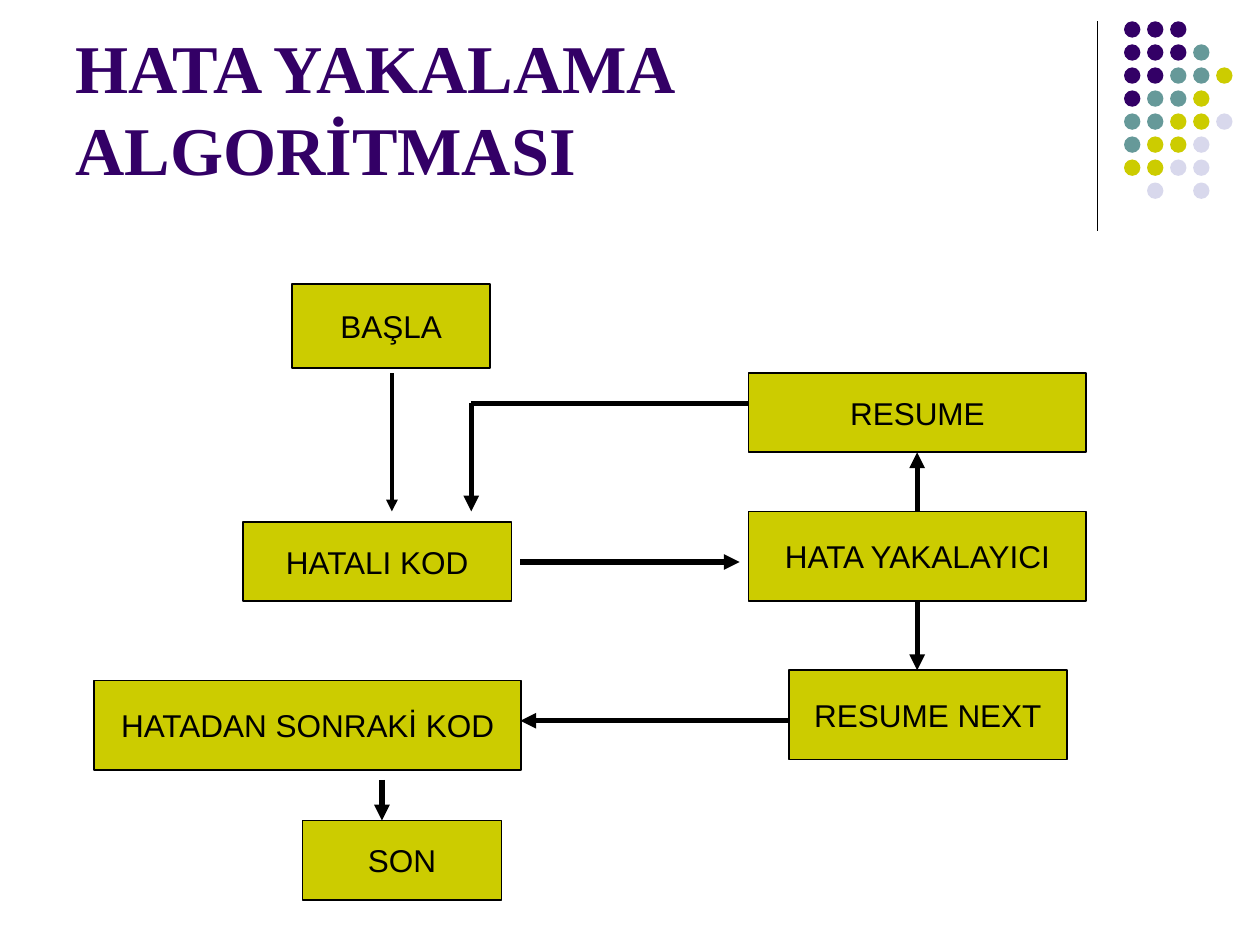
from lxml.etree import SubElement
from pptx import Presentation
from pptx.dml.color import RGBColor
from pptx.enum.shapes import MSO_CONNECTOR, MSO_SHAPE
from pptx.enum.text import MSO_ANCHOR, PP_ALIGN
from pptx.oxml.ns import qn
from pptx.util import Cm, Pt

BLACK = RGBColor(0x00, 0x00, 0x00)
PURPLE = RGBColor(0x33, 0x00, 0x66)
TEAL = RGBColor(0x66, 0x99, 0x99)
LIME = RGBColor(0xCC, 0xCC, 0x00)
PALE = RGBColor(0xD8, 0xD8, 0xEC)


def write(shape, text, font="Arial", size=18, color=BLACK, bold=False,
          align=PP_ALIGN.CENTER, anchor=MSO_ANCHOR.MIDDLE, wrap=False):
    frame = shape.text_frame
    frame.word_wrap = wrap
    frame.vertical_anchor = anchor
    para = frame.paragraphs[0]
    para.alignment = align
    run = para.add_run()
    run.text = text
    run.font.name = font
    run.font.size = Pt(size)
    run.font.bold = bold
    run.font.color.rgb = color


def draw(x1, y1, x2, y2, width=3, arrow=True):
    line = slide.shapes.add_connector(
        MSO_CONNECTOR.STRAIGHT, Cm(x1), Cm(y1), Cm(x2), Cm(y2))
    line.line.color.rgb = BLACK
    line.line.width = Pt(width)
    if arrow:
        SubElement(line.line._get_or_add_ln(), qn("a:tailEnd"), type="triangle")
    SubElement(line._element.spPr, qn("a:effectLst"))


prs = Presentation()
prs.slide_width = Cm(25.4)
prs.slide_height = Cm(19.05)
slide = prs.slides.add_slide(prs.slide_layouts[6])

# Corner rule and dot pattern
draw(22.12, 0.43, 22.12, 4.65, width=0.75, arrow=False)
tones = {"P": PURPLE, "T": TEAL, "L": LIME, "W": PALE}
rows = ["PPP", "PPPT", "PPTTL", "PTTL", "TTLLW", "TLLW", "LLWW", " W W"]
step = 3.25 / 7
for row, marks in enumerate(rows):
    for col, mark in enumerate(marks):
        if mark in tones:
            dot = slide.shapes.add_shape(
                MSO_SHAPE.OVAL, Cm(22.66 + col * step), Cm(0.43 + row * step),
                Cm(0.33), Cm(0.33))
            dot.shadow.inherit = False
            dot.fill.solid()
            dot.fill.fore_color.rgb = tones[mark]
            dot.line.fill.background()

# Title
title = slide.shapes.add_textbox(Cm(1.27), Cm(0.33), Cm(20.96), Cm(3.61))
write(title, "HATA YAKALAMA ALGORİTMASI", font="Times New Roman", size=39,
      color=PURPLE, bold=True, align=PP_ALIGN.LEFT,
      anchor=MSO_ANCHOR.BOTTOM, wrap=True)

# Flow boxes: text, left, top, width, height
boxes = [
    ("BAŞLA", 5.89, 5.72, 3.99, 1.7),
    ("HATALI KOD", 4.9, 10.52, 5.41, 1.6),
    ("HATADAN SONRAKİ KOD", 1.9, 13.72, 8.61, 1.8),
    ("SON", 6.1, 16.54, 4.01, 1.6),
    ("RESUME", 15.09, 7.52, 6.81, 1.6),
    ("HATA YAKALAYICI", 15.09, 10.31, 6.81, 1.8),
    ("RESUME NEXT", 15.9, 13.51, 5.61, 1.8),
]
for text, *place in boxes:
    box = slide.shapes.add_shape(
        MSO_SHAPE.FLOWCHART_PROCESS, *[Cm(side) for side in place])
    box.shadow.inherit = False
    box.fill.solid()
    box.fill.fore_color.rgb = LIME
    box.line.color.rgb = BLACK
    box.line.width = Pt(1)
    write(box, text)

# Flow arrows
draw(7.9, 7.52, 7.9, 10.31, width=2.25)
draw(10.49, 11.33, 14.91, 11.33)
draw(18.49, 10.31, 18.49, 9.12)
draw(18.49, 12.12, 18.49, 13.51)
draw(15.09, 8.13, 9.5, 8.13, arrow=False)
draw(9.5, 8.13, 9.5, 10.31)
draw(15.9, 14.53, 10.49, 14.53)
draw(7.7, 15.72, 7.7, 16.54)

prs.save("out.pptx")
